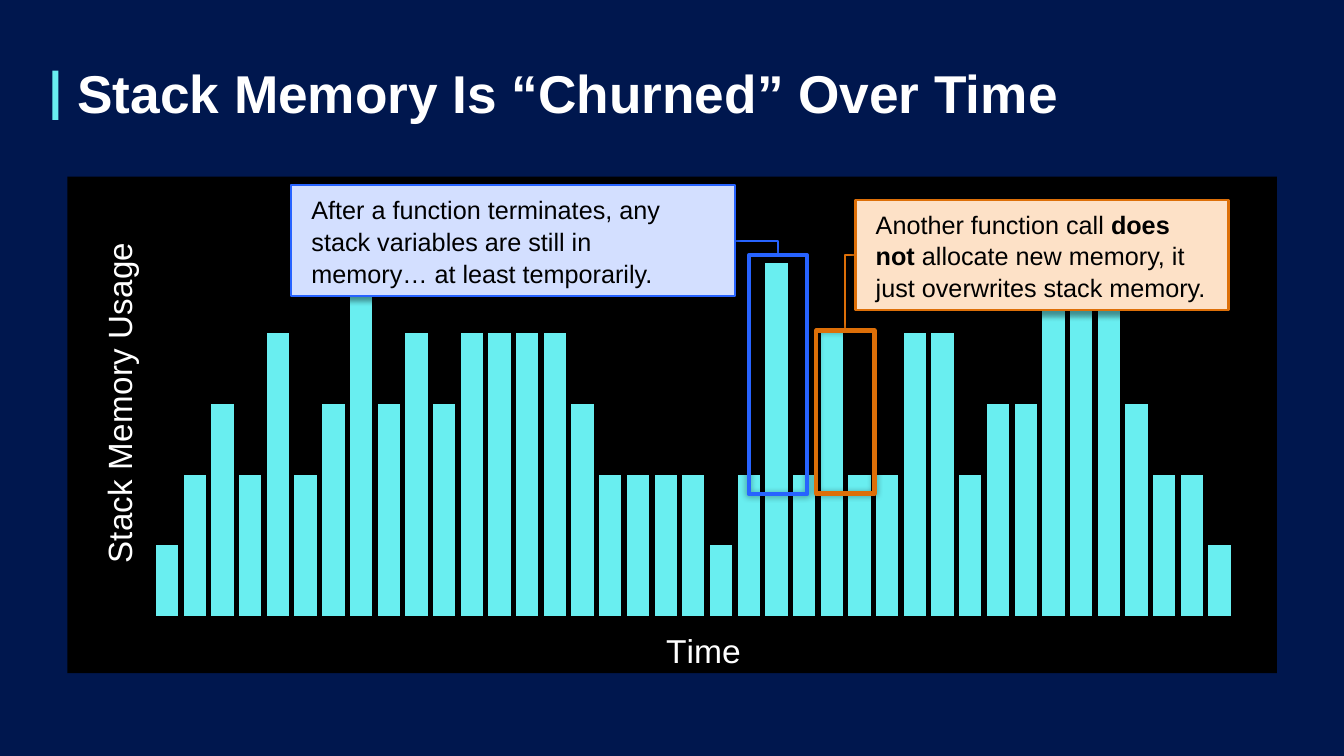
from pptx import Presentation
from pptx.chart.data import CategoryChartData
from pptx.dml.color import RGBColor
from pptx.enum.chart import XL_CHART_TYPE
from pptx.enum.shapes import MSO_CONNECTOR, MSO_SHAPE
from pptx.enum.text import MSO_ANCHOR
from pptx.oxml import parse_xml
from pptx.oxml.ns import nsdecls, qn
from pptx.util import Cm, Pt

COLUMN = XL_CHART_TYPE.COLUMN_CLUSTERED
ELBOW = MSO_CONNECTOR.ELBOW
RECT = MSO_SHAPE.RECTANGLE
MIDDLE = MSO_ANCHOR.MIDDLE

TITLE = "Stack Memory Is “Churned” Over Time"
AXES = {"x": "Time", "y": "Stack Memory Usage"}
USAGE = [20, 40, 60, 40, 80, 40, 60, 100, 60, 80,
         60, 80, 80, 80, 80, 60, 40, 40, 40, 40,
         20, 40, 100, 40, 80, 40, 40, 80, 80, 40,
         60, 60, 100, 100, 100, 60, 40, 40, 20, None]

# Boxes are left, top, width, height in centimetres.
CALLS = [
    {"runs": [("After a function terminates, any stack variables are "
               "still in memory… at least temporarily.", False)],
     "note": (7.34, 4.67, 11.18, 2.79), "frame": (18.87, 6.43, 1.47, 6.02),
     "side": "right", "line": "blue", "fill": "pale"},
    {"runs": [("Another function call ", False), ("does not ", True),
              ("allocate new memory, it just overwrites stack memory.", False)],
     "note": (21.56, 5.03, 9.4, 2.79), "frame": (20.57, 8.33, 1.47, 4.11),
     "side": "left", "line": "orange", "fill": "peach"},
]
BAR = (1.32, 1.78, 0.15, 1.24)
HEAD = (1.7, 1.55, 30.23, 1.73)
GRAPH = (1.7, 4.45, 30.48, 12.7)

THEME = {
    "font": "Arial",
    "navy": "00174E", "cyan": "69EEF0", "white": "FFFFFF", "black": "000000",
    "blue": "2763FF", "pale": "D3DFFF", "orange": "DD6F08", "peach": "FDE1C7",
    "title": 38, "axis": 24, "note": 18, "base": 10,
}


def color(name):
    return RGBColor.from_string(THEME[name])


def style(font, size, tint, bold=False):
    font.name = THEME["font"]
    font.size = Pt(THEME[size])
    font.color.rgb = color(tint)
    font.bold = bold


def write(frame, runs, size, tint, space=None, pad=None):
    """Fill a text frame with one paragraph of (text, bold) runs."""
    para = frame.paragraphs[0]
    if space:
        para.line_spacing = space
        frame.word_wrap = True
        frame.vertical_anchor = MIDDLE
    if pad:
        frame.margin_left = frame.margin_right = Cm(pad)
        frame.margin_top = frame.margin_bottom = Cm(pad)
    for text, bold in runs:
        run = para.add_run()
        run.text = text
        style(run.font, size, tint, bold)


def shade(shape, blur, dist, angle):
    shape.shadow.inherit = False
    shape._element.spPr.find(qn("a:effectLst")).append(parse_xml(
        f'<a:outerShdw {nsdecls("a")} blurRad="{Pt(blur)}" dist="{Pt(dist)}" '
        f'dir="{angle * 60000}" algn="ctr" rotWithShape="0">'
        f'<a:srgbClr val="{THEME["black"]}"><a:alpha val="40000"/></a:srgbClr>'
        '</a:outerShdw>'))


def add_box(slide, box, fill=None, line=None, width=0):
    shape = slide.shapes.add_shape(RECT, *map(Cm, box))
    shape.shadow.inherit = False
    if fill:
        shape.fill.solid()
        shape.fill.fore_color.rgb = color(fill)
    else:
        shape.fill.background()
    if line:
        shape.line.color.rgb = color(line)
        shape.line.width = Pt(width)
    else:
        shape.line.fill.background()
    return shape


def add_elbow(slide, call):
    """Lead from the side of the note to the top of the frame."""
    left, top, wide, high = call["note"]
    start = left + wide if call["side"] == "right" else left
    x, y, span, _ = call["frame"]
    ends = (start, top + high / 2, x + span / 2, y)
    link = slide.shapes.add_connector(ELBOW, *map(Cm, ends))
    link.line.color.rgb = color(call["line"])
    link.line.width = Pt(1.5)
    props = link._element.spPr
    props.find(qn("a:prstGeom")).set("prst", "bentConnector2")
    props.append(parse_xml(f'<a:effectLst {nsdecls("a")}/>'))


def place(node, index, inner=False, **parts):
    """Give a chart part a fixed layout, in fractions of the chart."""
    old = node.find(qn("c:layout"))
    if old is not None:
        node.remove(old)
    target = '<c:layoutTarget val="inner"/>' if inner else ""
    modes = "".join(f'<c:{k}Mode val="edge"/>' for k in "xy")
    sizes = "".join(f'<c:{k} val="{v}"/>' for k, v in parts.items())
    node.insert(index, parse_xml(
        f'<c:layout {nsdecls("c")}><c:manualLayout>{target}{modes}{sizes}'
        '</c:manualLayout></c:layout>'))


def add_graph(slide):
    data = CategoryChartData()
    data.categories = [str(i + 1) for i in range(len(USAGE))]
    data.add_series("Series 1", USAGE)
    chart = slide.shapes.add_chart(COLUMN, *map(Cm, GRAPH), data).chart
    chart.has_legend = chart.has_title = False
    style(chart.font, "base", "black")

    plot = chart.plots[0]
    plot.gap_width, plot.overlap, plot.vary_by_categories = 24, -27, False
    fill = plot.series[0].format.fill
    fill.solid()
    fill.fore_color.rgb = color("cyan")

    rise = chart.value_axis
    rise.minimum_scale, rise.maximum_scale = 0, 120
    spots = {"x": (chart.category_axis, 0.49, 0.9, 0),
             "y": (rise, 0.02, 0.13, -90)}
    for key, (axis, x, y, turn) in spots.items():
        axis.has_major_gridlines = False
        axis.visible = False
        frame = axis.axis_title.text_frame
        write(frame, [(AXES[key], False)], "axis", "white")
        body = frame._txBody.find(qn("a:bodyPr"))
        body.set("rot", str(turn * 60000))
        body.set("vert", "horz")
        place(axis.axis_title._element, 1, x=x, y=y)

    root = chart._chartSpace.find(qn("c:chart"))
    place(root.find(qn("c:plotArea")), 0, inner=True,
          x=0.071, y=0.031, w=0.916, h=0.854)
    root.addnext(parse_xml(
        f'<c:spPr {nsdecls("c", "a")}><a:solidFill>'
        f'<a:srgbClr val="{THEME["black"]}"/></a:solidFill>'
        '<a:ln><a:noFill/></a:ln></c:spPr>'))


def main():
    deck = Presentation()
    deck.slide_width, deck.slide_height = Cm(33.87), Cm(19.05)
    slide = deck.slides.add_slide(deck.slide_layouts[6])
    slide.background.fill.solid()
    slide.background.fill.fore_color.rgb = color("navy")

    add_box(slide, BAR, "cyan")
    head = slide.shapes.add_textbox(*map(Cm, HEAD))
    write(head.text_frame, [(TITLE, True)], "title", "white", space=0.9)
    add_graph(slide)
    for call in CALLS:
        add_elbow(slide, call)
        frame = add_box(slide, call["frame"], line=call["line"], width=3)
        shade(frame, 5, 0, 0)
        note = add_box(slide, call["note"], call["fill"], call["line"], 1.5)
        shade(note, 4, 3, 90)
        write(note.text_frame, call["runs"], "note", "black", space=1.05, pad=0.51)
        note.text_frame.paragraphs[0].alignment = 1
    deck.save("out.pptx")


if __name__ == "__main__":
    main()
